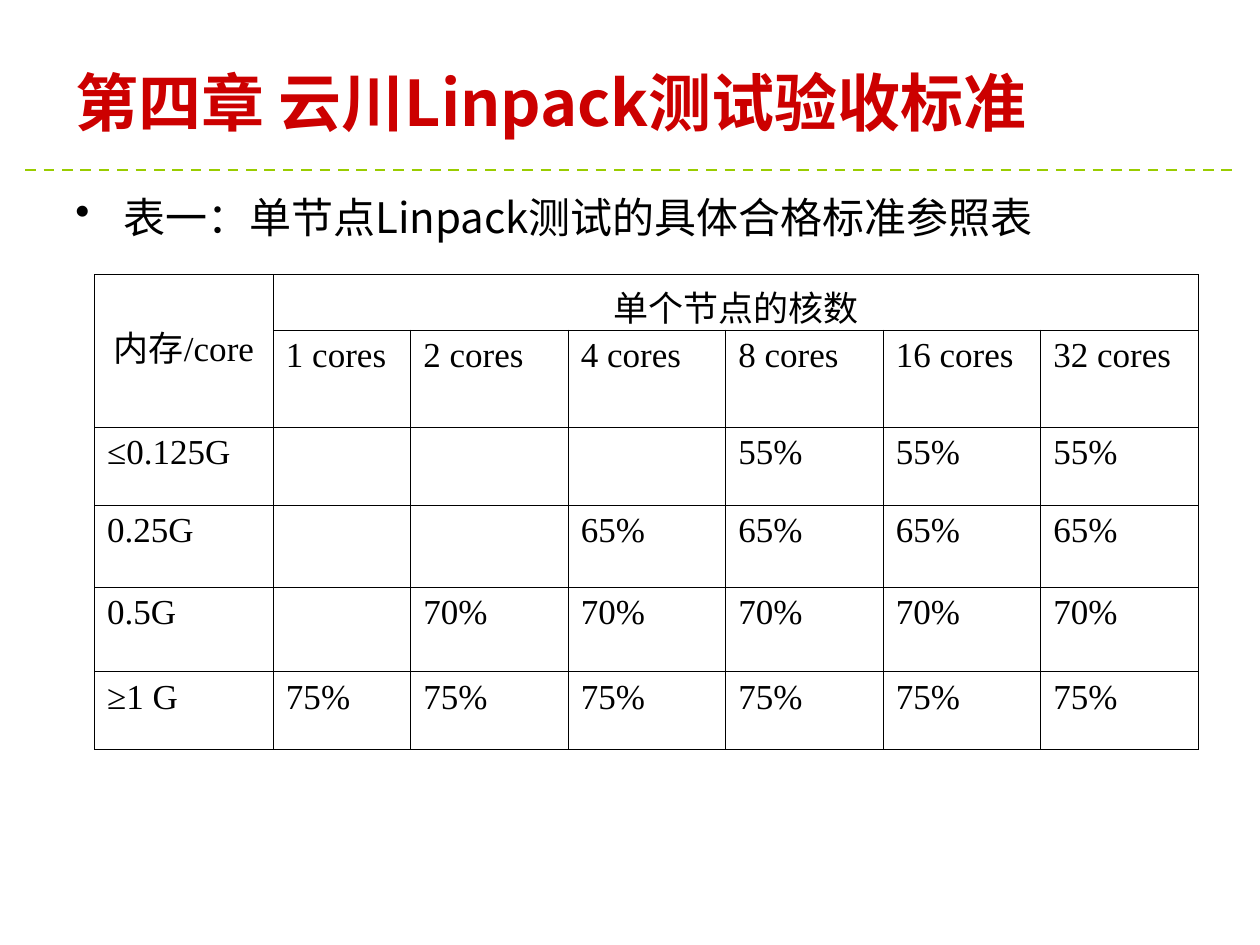
from lxml.etree import SubElement
from pptx import Presentation
from pptx.dml.color import RGBColor
from pptx.enum.dml import MSO_LINE
from pptx.enum.shapes import MSO_CONNECTOR
from pptx.enum.text import MSO_ANCHOR, PP_ALIGN
from pptx.oxml import parse_xml
from pptx.oxml.ns import nsdecls, qn
from pptx.util import Inches, Pt

BLACK = RGBColor(0x00, 0x00, 0x00)
RED = RGBColor(0xCC, 0x00, 0x00)
GREEN = RGBColor(0x99, 0xCC, 0x00)
SANS = "Noto Sans CJK SC"
SERIF = "Times New Roman"


def add_text(paragraph, text, size, font_name, color=BLACK, bold=False, hang=0.38):
    """Add one run to a paragraph with a hanging indent."""
    properties = paragraph._p.get_or_add_pPr()
    properties.set("marL", str(Inches(hang)))
    properties.set("indent", str(-Inches(hang)))
    run = paragraph.add_run()
    run.text = text
    run.font.size = Pt(size)
    run.font.bold = bold
    run.font.color.rgb = color
    run.font.name = font_name
    SubElement(run._r.get_or_add_rPr(), qn("a:ea"), typeface=SANS)


def set_borders(cell):
    """Draw a thin black line on all four sides of a cell."""
    for side in ("lnL", "lnR", "lnT", "lnB"):
        cell._tc.get_or_add_tcPr().append(parse_xml(
            f'<a:{side} {nsdecls("a")} w="{Pt(0.45)}"><a:solidFill>'
            f'<a:srgbClr val="{BLACK}"/></a:solidFill></a:{side}>'))


presentation = Presentation()
presentation.slide_width = Inches(10)
presentation.slide_height = Inches(7.5)
slide = presentation.slides.add_slide(presentation.slide_layouts[6])

# Dashed rule under the title
rule = slide.shapes.add_connector(
    MSO_CONNECTOR.STRAIGHT, Inches(0.2), Inches(1.35), Inches(9.8), Inches(1.35))
rule.line.color.rgb = GREEN
rule.line.width = Pt(1.5)
rule.line.dash_style = MSO_LINE.DASH
SubElement(rule._element.spPr, qn("a:effectLst"))

# Caption with a bullet
caption = slide.shapes.add_textbox(Inches(0.5), Inches(1.47), Inches(8.91), Inches(0.63))
caption.text_frame.word_wrap = True
paragraph = caption.text_frame.paragraphs[0]
SubElement(paragraph._p.get_or_add_pPr(), qn("a:buChar"), char="•")
add_text(paragraph, "表一：单节点Linpack测试的具体合格标准参照表", 24, SANS)

# Table of pass marks
column_widths = [1.42, 1.09] + [1.25] * 5
row_heights = [0.44, 0.77, 0.62, 0.65, 0.67, 0.62]
core_counts = [1, 2, 4, 8, 16, 32]
# memory per core, pass mark, number of core counts without a mark
pass_marks = [("≤0.125G", "55%", 3), ("0.25G", "65%", 2), ("0.5G", "70%", 1), ("≥1 G", "75%", 0)]

rows = [["内存/core", "单个节点的核数"] + [""] * 5,
        [""] + [f"{count} cores" for count in core_counts]]
for memory, mark, blanks in pass_marks:
    rows.append([memory] + [""] * blanks + [mark] * (len(core_counts) - blanks))

table = slide.shapes.add_table(
    len(row_heights), len(column_widths), Inches(0.75), Inches(2.18),
    Inches(sum(column_widths)), Inches(sum(row_heights))).table
table.first_row = False
table.horz_banding = False
for column, width in zip(table.columns, column_widths):
    column.width = Inches(width)
for row, height in zip(table.rows, row_heights):
    row.height = Inches(height)

for row_index, row in enumerate(rows):
    for column_index, text in enumerate(row):
        cell = table.cell(row_index, column_index)
        set_borders(cell)
        cell.fill.background()
        if text:
            paragraph = cell.text_frame.paragraphs[0]
            add_text(paragraph, text, 20, SERIF)
            if row_index == 0:
                paragraph.alignment = PP_ALIGN.CENTER

# Merged headings; the memory heading sits one line lower
table.cell(0, 0).merge(table.cell(1, 0))
table.cell(0, 0).margin_top = Inches(0.37)
table.cell(0, 1).merge(table.cell(0, 6))

# Title
title = slide.shapes.add_textbox(Inches(0.5), Inches(0.3), Inches(9), Inches(1.01))
title.text_frame.word_wrap = True
title.text_frame.vertical_anchor = MSO_ANCHOR.MIDDLE
add_text(title.text_frame.paragraphs[0], "第四章 云川Linpack测试验收标准",
         36, SANS, RED, bold=True, hang=0.92)

presentation.save("out.pptx")
